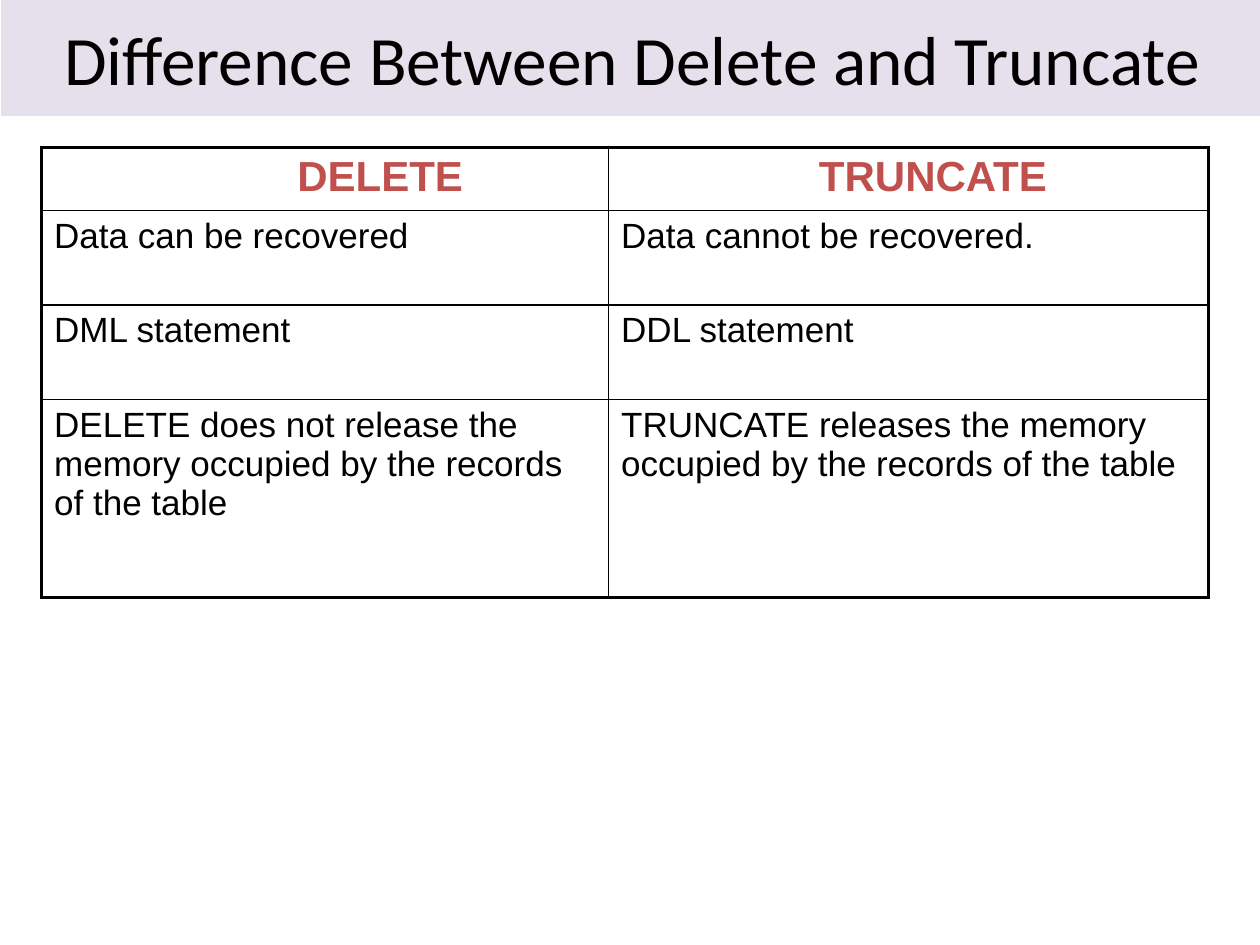
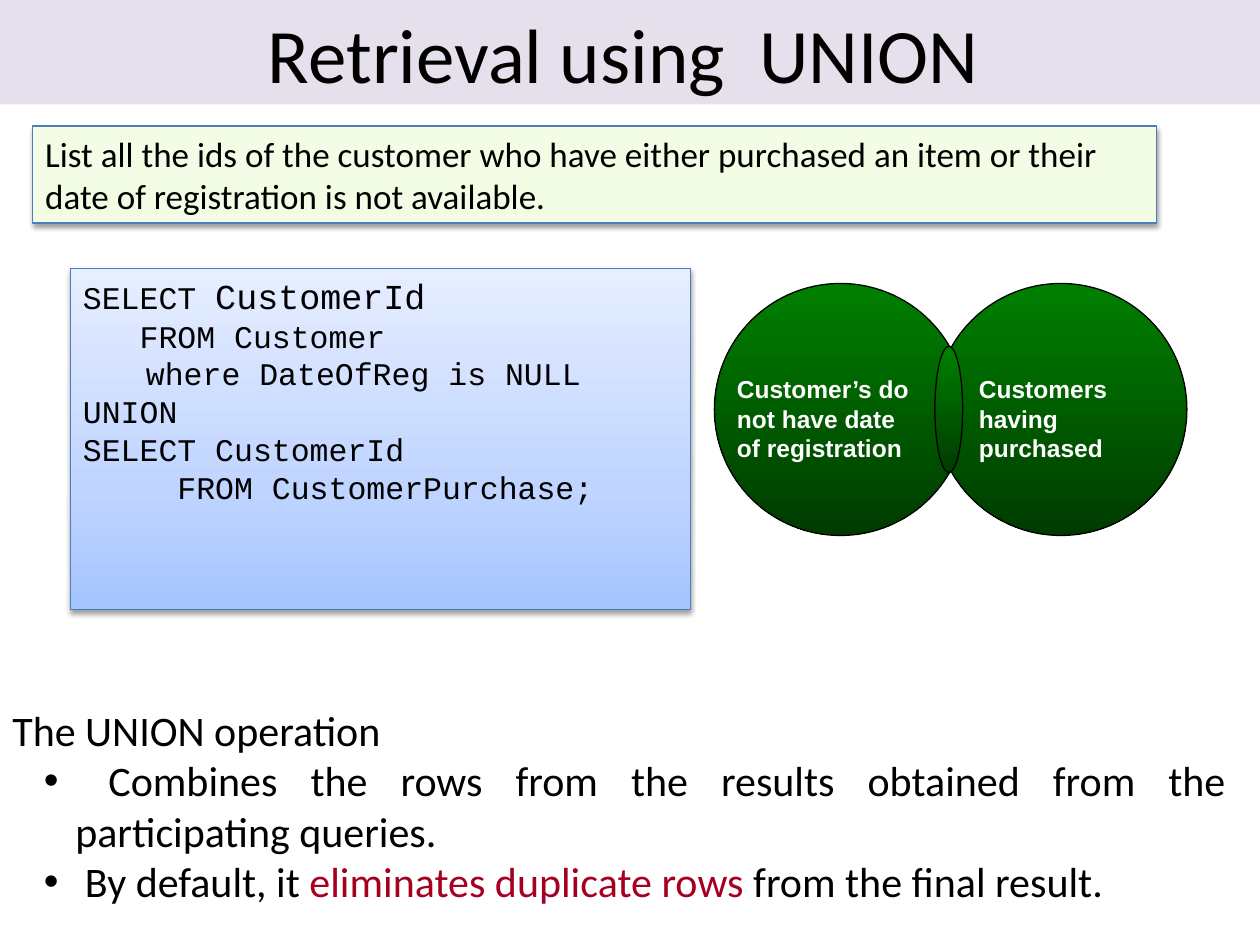
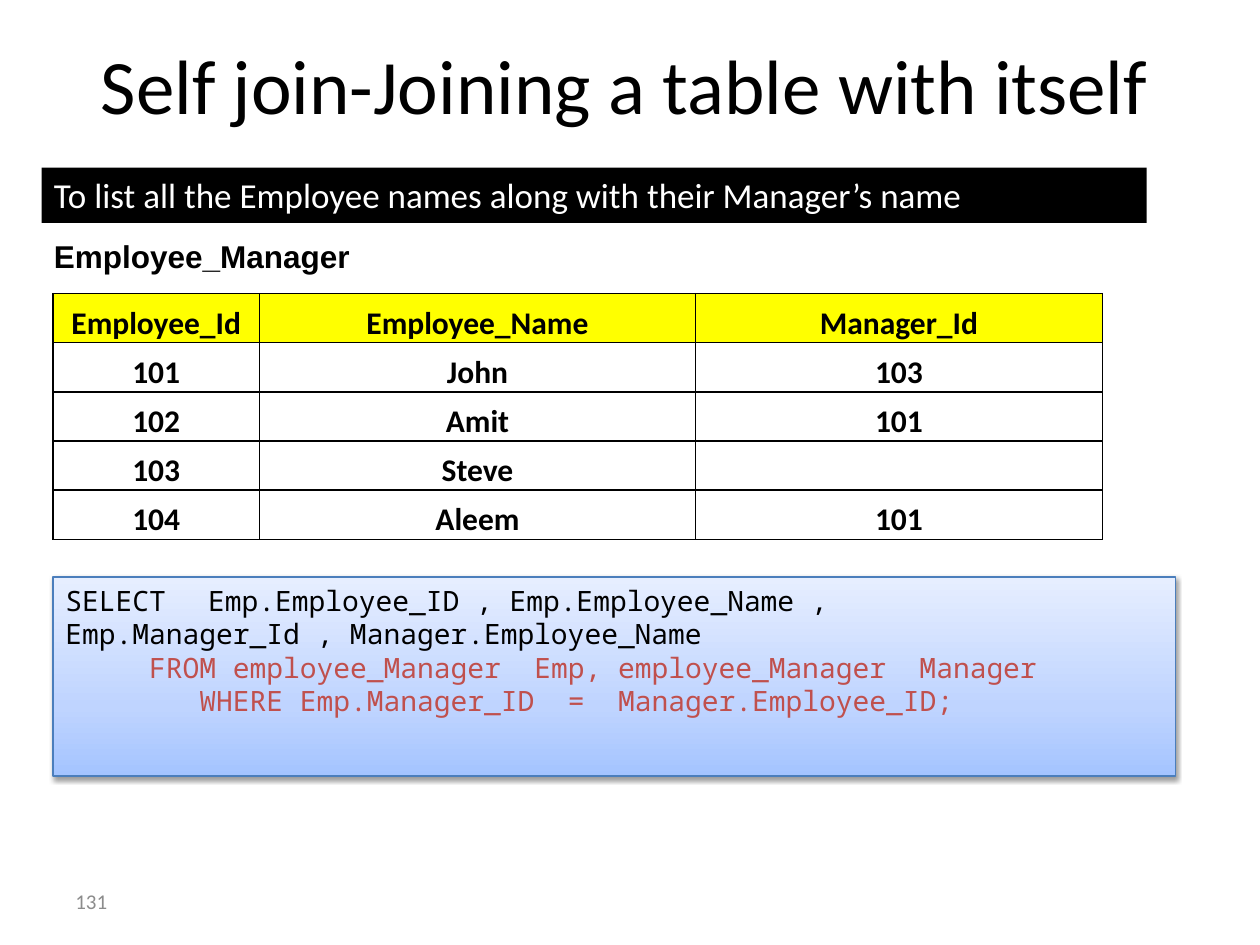
from dataclasses import dataclass

from lxml.etree import SubElement
from pptx import Presentation
from pptx.dml.color import RGBColor
from pptx.enum.shapes import MSO_SHAPE
from pptx.enum.text import MSO_ANCHOR as Anchor, PP_ALIGN as Align
from pptx.oxml.ns import qn
from pptx.util import Emu, Inches, Pt

BLACK = RGBColor(0x00, 0x00, 0x00)
WHITE = RGBColor(0xFF, 0xFF, 0xFF)
LAVENDER = RGBColor(0xE6, 0xE0, 0xEC)
PALE_GREEN = RGBColor(0xF3, 0xFC, 0xE4)
YELLOW = RGBColor(0xFF, 0xFF, 0x00)
BRICK = RGBColor(0xC0, 0x50, 0x4D)
CRIMSON = RGBColor(0xA5, 0x00, 0x21)
GREY = RGBColor(0x8C, 0x8C, 0x8C)
OUTLINE_BLUE = RGBColor(0x4B, 0x7E, 0xBC)
CODE_GRADIENT = [(0, RGBColor(0xA4, 0xC4, 0xFF)), (35, RGBColor(0xBF, 0xD4, 0xFF)),
                 (100, RGBColor(0xE6, 0xEE, 0xFF))]
VENN_GRADIENT = [(0, RGBColor(0x00, 0x80, 0x00)), (100, RGBColor(0x00, 0x3B, 0x00))]

BODY, LABEL = "Calibri", "Arial"
INSETS = (0.1, 0.05, 0.1, 0.05)


@dataclass
class TextStyle:
    size: float
    font: str = BODY
    color: RGBColor = BLACK
    bold: bool = False
    align: Align = Align.LEFT


@dataclass
class Borders:
    """Line widths in points: four outer edges, then inner columns and rows."""
    left: float
    top: float
    right: float
    bottom: float
    columns: float
    rows: float


def write(frame, paragraphs, style):
    """Each paragraph is a list of runs: a string, or (text, {style overrides})."""
    for number, runs in enumerate(paragraphs):
        paragraph = frame.add_paragraph() if number else frame.paragraphs[0]
        paragraph.alignment = style.align
        for item in runs:
            text, changes = (item, {}) if isinstance(item, str) else item
            run = paragraph.add_run()
            run.text = text
            font = run.font
            font.name = style.font
            font.size = Pt(changes.get("size", style.size))
            font.bold = style.bold
            font.color.rgb = changes.get("color", style.color)


def fill_frame(shape, paragraphs, style, anchor=Anchor.TOP, insets=INSETS):
    frame = shape.text_frame
    frame.word_wrap = True
    frame.vertical_anchor = anchor
    (frame.margin_left, frame.margin_top,
     frame.margin_right, frame.margin_bottom) = map(Inches, insets)
    write(frame, paragraphs, style)


def add_text(slide, box, paragraphs, style, anchor=Anchor.TOP):
    shape = slide.shapes.add_textbox(*map(Inches, box))
    fill_frame(shape, paragraphs, style, anchor)
    return shape


def add_panel(slide, box, fill, angle=0, line=None, kind=MSO_SHAPE.RECTANGLE):
    """Preset shape with a solid colour or a list of gradient stops."""
    shape = slide.shapes.add_shape(kind, *map(Inches, box))
    shape.shadow.inherit = False
    if isinstance(fill, RGBColor):
        shape.fill.solid()
        shape.fill.fore_color.rgb = fill
    else:
        shape.fill.gradient()
        shape.fill.gradient_angle = angle
        stops = shape.element.spPr.find(qn("a:gradFill")).find(qn("a:gsLst"))
        stops.clear()
        for position, color in fill:
            stop = SubElement(stops, qn("a:gs"), pos=str(position * 1000))
            SubElement(stop, qn("a:srgbClr"), val=str(color))
    if line is None:
        shape.line.fill.background()
    else:
        shape.line.color.rgb = line
        shape.line.width = Pt(0.75)
    return shape


def cast_shadow(shape):
    effects = shape.element.spPr.find(qn("a:effectLst"))
    shadow = SubElement(effects, qn("a:outerShdw"), blurRad=str(Pt(3.1)),
                        dist=str(Pt(1.6)), dir=str(90 * 60000), rotWithShape="0")
    color = SubElement(shadow, qn("a:srgbClr"), val=str(BLACK))
    SubElement(color, qn("a:alpha"), val="38000")


def add_title_band(slide, box, text, size):
    band = add_panel(slide, box, LAVENDER)
    fill_frame(band, [[text]], TextStyle(size, align=Align.CENTER),
               Anchor.MIDDLE, (0, 0.05, 0.1, 0.05))


def add_code_panel(slide, box, lines, style):
    panel = add_panel(slide, box, CODE_GRADIENT, 90, OUTLINE_BLUE)
    cast_shadow(panel)
    fill_frame(panel, lines, style)


def set_borders(cell, widths):
    properties = cell._tc.get_or_add_tcPr()
    for index, (side, width) in enumerate(zip("LTRB", widths)):
        tag = {"L": "a:lnL", "R": "a:lnR", "T": "a:lnT", "B": "a:lnB"}[side]
        line = SubElement(properties, qn(tag), w=str(Pt(width)))
        solid = SubElement(line, qn("a:solidFill"))
        SubElement(solid, qn("a:srgbClr"), val=str(BLACK))
        properties.insert({"L": 0, "T": 1, "R": 1, "B": 3}[side], line)


def add_grid(slide, left, top, widths, heights, rows, header, body, borders,
             header_fill=WHITE, anchor=Anchor.TOP, insets=INSETS):
    frame = slide.shapes.add_table(len(heights), len(widths), Inches(left), Inches(top),
                                   Inches(sum(widths)), Inches(sum(heights)))
    table = frame.table
    table.first_row = table.horz_banding = False
    for column, width in zip(table.columns, widths):
        column.width = Inches(width)
    for row, height in zip(table.rows, heights):
        row.height = Inches(height)
    last_row, last_column = len(heights) - 1, len(widths) - 1
    for r, texts in enumerate(rows):
        for c, text in enumerate(texts):
            cell = table.cell(r, c)
            cell.fill.solid()
            cell.fill.fore_color.rgb = WHITE if r else header_fill
            cell.vertical_anchor = anchor
            (cell.margin_left, cell.margin_top,
             cell.margin_right, cell.margin_bottom) = map(Inches, insets)
            write(cell.text_frame, [[text] if text else []], body if r else header)
            set_borders(cell, (borders.columns if c else borders.left,
                               borders.rows if r else borders.top,
                               borders.columns if c < last_column else borders.right,
                               borders.rows if r < last_row else borders.bottom))
    return table


def add_bullet(paragraph):
    properties = paragraph._p.get_or_add_pPr()
    properties.set("marL", str(Inches(0.5)))
    properties.set("indent", str(Inches(-0.25)))
    SubElement(properties, qn("a:buFont"), typeface=LABEL)
    SubElement(properties, qn("a:buChar"), char="•")


def add_venn(slide, left, top):
    """Two circles with the lens between them and a label in each."""
    diameter, shift, lens = 2, 1.75, 0.22
    for x, y, width, height in ((0, 0, diameter, diameter),
                                (shift, 0, diameter, diameter),
                                (shift, diameter / 4, lens, diameter / 2)):
        add_panel(slide, (left + x, top + y, width, height), VENN_GRADIENT, 270,
                  BLACK, MSO_SHAPE.OVAL)
    style = TextStyle(14, LABEL, WHITE, True)
    for x, width, text in ((0.08, 1.58, "Customer’s do not have date of registration"),
                           (2, 1.42, "Customers having purchased")):
        add_text(slide, (left + x, top + 0.67, width, 0.81), [[text]], style)


def build_delete_truncate(slide):
    add_title_band(slide, (0.01, 0, 9.99, 0.92),
                   " Difference Between Delete and Truncate", 39.6)
    rows = [
        ("DELETE", "TRUNCATE"),
        ("Data can be recovered", "Data cannot be recovered."),
        ("DML statement", "DDL statement"),
        ("DELETE does not release the memory occupied by the records of the table",
         "TRUNCATE releases the memory occupied by the records of the table"),
    ]
    table = add_grid(slide, 0.33, 1.17, (4.5, 4.76), (0.5, 0.75, 0.75, 1.57), rows,
                     TextStyle(24, LABEL, BRICK, True), TextStyle(20, LABEL),
                     Borders(2.25, 2.25, 2.25, 2.25, 1, 1))
    for column, indent in enumerate((2.03, 1.67)):
        table.cell(0, column).margin_left = Inches(indent)


def build_union(slide):
    question = add_panel(slide, (0.26, 1, 8.92, 0.77), PALE_GREEN, line=OUTLINE_BLUE)
    cast_shadow(question)
    fill_frame(question, [["List all the ids of the customer who have either purchased "
                           "an item or their date of registration is not available."]],
               TextStyle(20))
    add_title_band(slide, (0, 0, 10, 0.83), "Retrieval using  UNION", 44)
    summary = add_text(slide, (0, 5.53, 9.83, 1.72), [
        ["The UNION operation"],
        [" Combines the rows from the results obtained from the participating queries."],
        [" By default, it ", ("eliminates duplicate rows", {"color": CRIMSON}),
         " from the final result."],
    ], TextStyle(24, align=Align.JUSTIFY), Anchor.MIDDLE)
    for paragraph in summary.text_frame.paragraphs[1:]:
        add_bullet(paragraph)
    add_code_panel(slide, (0.56, 2.13, 4.92, 2.71), [
        ["SELECT ", ("CustomerId", {"size": 20})],
        ["   FROM Customer"],
        ["\twhere DateOfReg is NULL"],
        ["UNION"],
        ["SELECT CustomerId"],
        ["     FROM CustomerPurchase;"],
    ], TextStyle(18, "Courier New"))
    add_venn(slide, 5.67, 2.25)


def build_self_join(slide):
    add_text(slide, (0.25, 0.25, 9.42, 0.63), [["Self join-Joining a table with itself"]],
             TextStyle(44, align=Align.CENTER))
    task = add_panel(slide, (0.33, 1.33, 8.77, 0.44), BLACK)
    fill_frame(task, [["To list all the Employee names along with their Manager’s name"]],
               TextStyle(20, color=WHITE))
    add_text(slide, (0.33, 1.83, 3.83, 0.4), [["Employee_Manager"]],
             TextStyle(18, LABEL, bold=True))
    rows = [
        ("Employee_Id", "Employee_Name", "Manager_Id"),
        ("101", "John", "103"),
        ("102", "Amit", "101"),
        ("103", "Steve", ""),
        ("104", "Aleem", "101"),
    ]
    style = TextStyle(18, bold=True, align=Align.CENTER)
    add_grid(slide, 0.42, 2.33, (1.64, 3.46, 3.23), [0.39] * len(rows), rows, style, style,
             Borders(1, 1, 0.5, 0.5, 0.5, 1), YELLOW, Anchor.BOTTOM, (0.01, 0.01, 0.01, 0))
    red = {"color": BRICK}
    add_code_panel(slide, (0.42, 4.58, 8.91, 1.58), [
        ["SELECT\t Emp.Employee_ID , Emp.Employee_Name ,"],
        ["Emp.Manager_Id , Manager.Employee_Name"],
        ["     ", ("FROM employee_Manager  Emp, employee_Manager  Manager", red)],
        ["        ", ("WHERE Emp.Manager_ID  =  Manager.Employee_ID;", red)],
    ], TextStyle(16, "Noto Sans Mono"))
    add_text(slide, (0.5, 6.95, 2.33, 0.4), [["131"]], TextStyle(12, color=GREY),
             Anchor.MIDDLE)


def main():
    presentation = Presentation()
    presentation.slide_width, presentation.slide_height = Inches(10), Inches(7.5)
    blank = presentation.slide_layouts[6]
    for build in (build_delete_truncate, build_union, build_self_join):
        build(presentation.slides.add_slide(blank))
    presentation.save("out.pptx")


if __name__ == "__main__":
    main()
